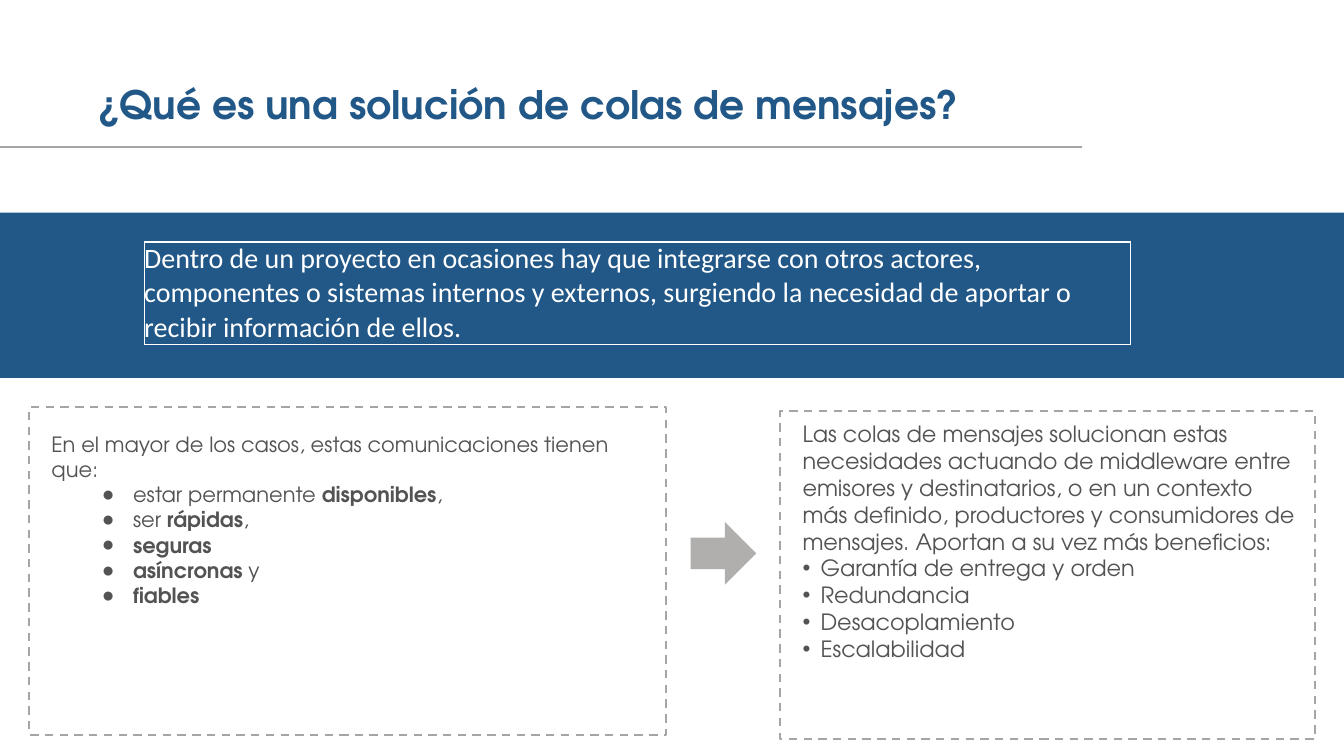
from lxml.etree import SubElement as Sub
from pptx import Presentation
from pptx.dml.color import RGBColor
from pptx.enum.dml import MSO_LINE as Dash
from pptx.enum.shapes import MSO_CONNECTOR as Conn, MSO_SHAPE as Shape
from pptx.enum.text import MSO_ANCHOR as Anchor, MSO_AUTO_SIZE as Fit, PP_ALIGN as Align
from pptx.oxml.ns import qn
from pptx.util import Inches, Pt

BLUE = RGBColor(0x22, 0x58, 0x88)
GREY = RGBColor(0xA5, 0xA5, 0xA5)
ARROW = RGBColor(0xB1, 0xAE, 0xAE)
TEXT = RGBColor(0x53, 0x53, 0x53)
WHITE = RGBColor(0xFF, 0xFF, 0xFF)
FACE = "TeX Gyre Adventor"

# Content
TITLE = "¿Qué es una solución de colas de mensajes?"
INTRO = ("Dentro de un proyecto en ocasiones hay que integrarse con otros actores, "
         "componentes o sistemas internos y externos, surgiendo la necesidad de "
         "aportar o recibir información de ellos.")
# Each point holds plain, bold and plain text in turn
PANELS = [
    dict(frame=(0.29, 4.04, 6.32, 3.25), box=(0.46, 4.23, 5.98, 1.85), size=15,
         mark="●", level=1, left=0.81, hang=0.31,
         lead="En el mayor de los casos, estas comunicaciones tienen que:",
         points=[("estar permanente ", "disponibles", ","), ("ser ", "rápidas", ","),
                 ("", "seguras", ""), ("", "asíncronas", " y"), ("", "fiables", "")]),
    dict(frame=(7.74, 4.08, 5.3, 3.25), box=(7.91, 4.12, 5.07, 2.6), size=16,
         mark="•", level=0, left=0.18, hang=0.18,
         lead="Las colas de mensajes solucionan estas necesidades actuando de "
              "middleware entre emisores y destinatarios, o en un contexto más "
              "definido, productores y consumidores de mensajes. Aportan a su vez "
              "más beneficios:",
         points=[("Garantía de entrega y orden",), ("Redundancia",),
                 ("Desacoplamiento",), ("Escalabilidad",)]),
]


def place(*sides):
    return [Inches(side) for side in sides]


def style(para, size, color, face=FACE, bold=False):
    font = para.font
    font.name, font.size, font.bold = face, Pt(size), bold
    font.color.rgb = color


def pad(frame, gap=0.05):
    frame.margin_left = frame.margin_right = Inches(gap)
    frame.margin_top = frame.margin_bottom = Inches(gap)
    frame.word_wrap = True


def draw(kind, box, fill=None, line=None):
    shape = slide.shapes.add_shape(kind, *place(*box))
    shape.shadow.inherit = False
    if fill is None:
        shape.fill.background()
    else:
        shape.fill.solid()
        shape.fill.fore_color.rgb = fill
    if line is None:
        shape.line.fill.background()
    else:
        shape.line.color.rgb = line
        shape.line.width = Pt(1.5)
        shape.line.dash_style = Dash.DASH


def bullet(para, panel):
    para.level = panel["level"]
    props = para._p.get_or_add_pPr()
    props.set("marL", str(Inches(panel["left"])))
    props.set("indent", str(-Inches(panel["hang"])))
    tint = Sub(props, qn("a:buClr"))
    Sub(tint, qn("a:srgbClr"), val=str(TEXT))
    Sub(props, qn("a:buFont"), typeface="Arial")
    Sub(props, qn("a:buChar"), char=panel["mark"])


deck = Presentation()
deck.slide_width, deck.slide_height = place(13.33, 7.5)
slide = deck.slides.add_slide(deck.slide_layouts[5])

# Title and its rule
title = slide.shapes.title
title.left, title.top, title.width, title.height = place(0.92, 0.66, 10.18, 0.8)
frame = title.text_frame
frame.text = TITLE
frame.auto_size = Fit.NONE
frame.vertical_anchor = Anchor.MIDDLE
pad(frame)
para = frame.paragraphs[0]
para.alignment = Align.LEFT
para.line_spacing = 0.9
style(para, 28, BLUE, bold=True)

rule = slide.shapes.add_connector(Conn.STRAIGHT, *place(-0.03, 1.46, 10.73, 1.46))
rule.line.color.rgb = GREY
rule.line.width = Pt(1.5)
Sub(rule._element.spPr, qn("a:effectLst"))

# Blue band with the intro table
draw(Shape.RECTANGLE, (-0.15, 2.11, 13.57, 1.64), fill=BLUE)
table = slide.shapes.add_table(1, 1, *place(1.43, 2.4, 9.78, 1.02)).table
table.first_row = table.horz_banding = False
cell = table.cell(0, 0)
cell.text = INTRO
cell.margin_left = cell.margin_right = cell.margin_top = cell.margin_bottom = 0
style(cell.text_frame.paragraphs[0], 20, WHITE, "Calibri")
props = cell._tc.get_or_add_tcPr()
for side in ("lnL", "lnR", "lnT", "lnB"):
    edge = Sub(props, qn("a:" + side), w=str(Pt(1)))
    Sub(Sub(edge, qn("a:solidFill")), qn("a:srgbClr"), val=str(WHITE))
cell.fill.solid()
cell.fill.fore_color.rgb = BLUE

# Dashed panels with their text
for panel in PANELS:
    draw(Shape.RECTANGLE, panel["frame"], line=GREY)
    frame = slide.shapes.add_textbox(*place(*panel["box"])).text_frame
    pad(frame)
    frame.auto_size = Fit.SHAPE_TO_FIT_TEXT
    para = frame.paragraphs[0]
    para.text = panel["lead"]
    style(para, panel["size"], TEXT)
    for point in panel["points"]:
        para = frame.add_paragraph()
        bullet(para, panel)
        style(para, panel["size"], TEXT)
        for spot, words in enumerate(point):
            if words:
                run = para.add_run()
                run.text = words
                if spot == 1:
                    run.font.bold = True

# Arrow between the panels
draw(Shape.RIGHT_ARROW, (6.85, 5.18, 0.65, 0.62), fill=ARROW)

deck.save("out.pptx")
